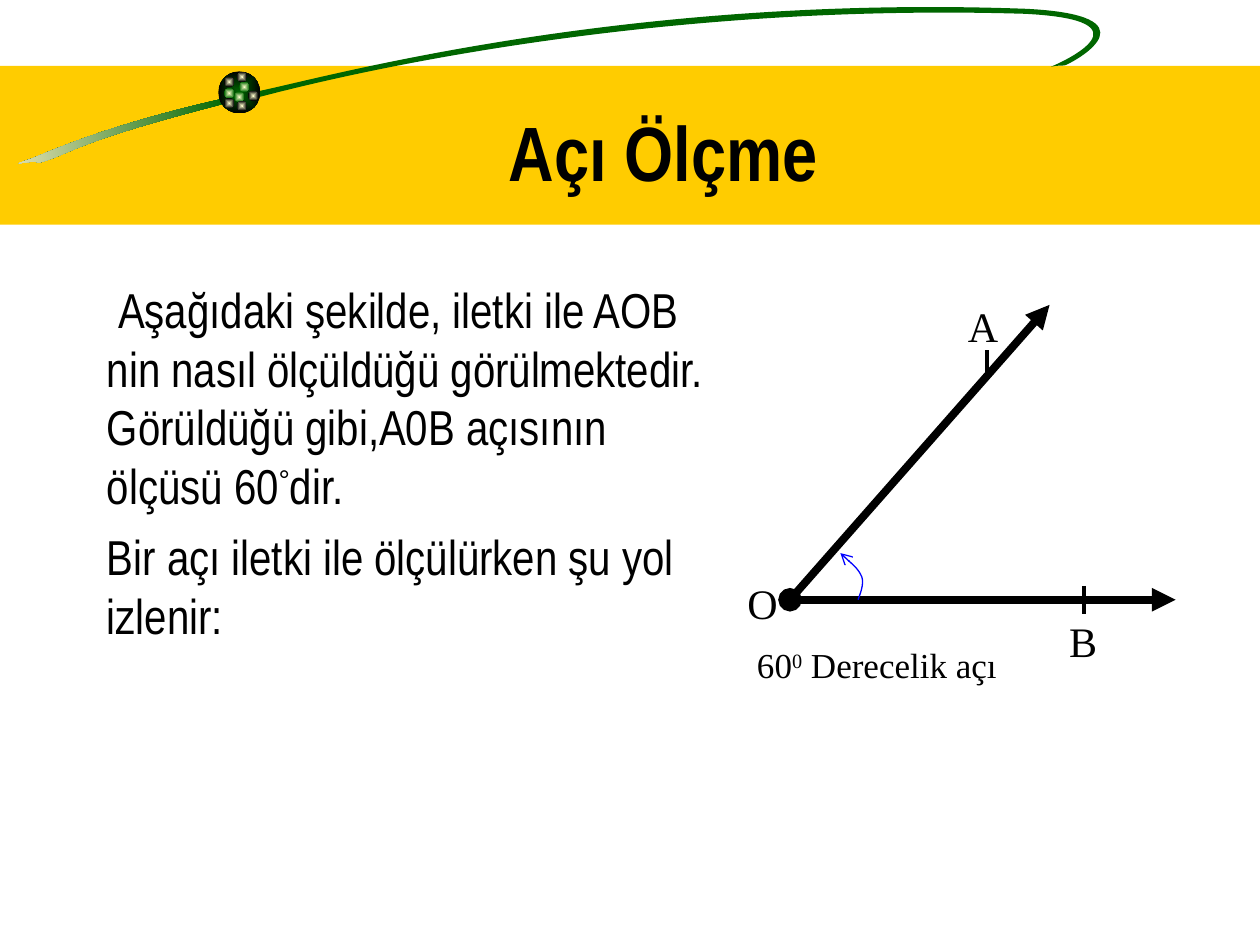
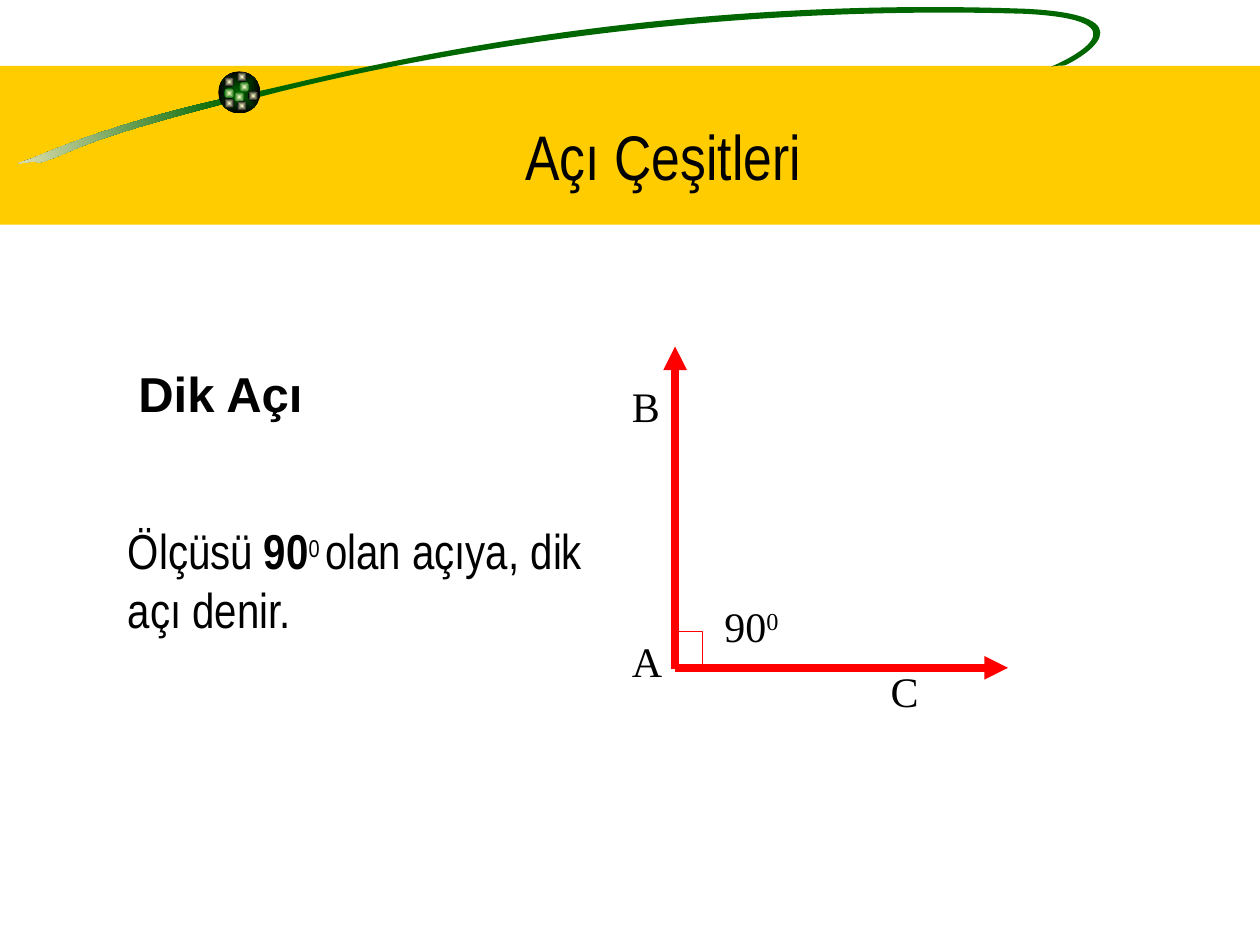
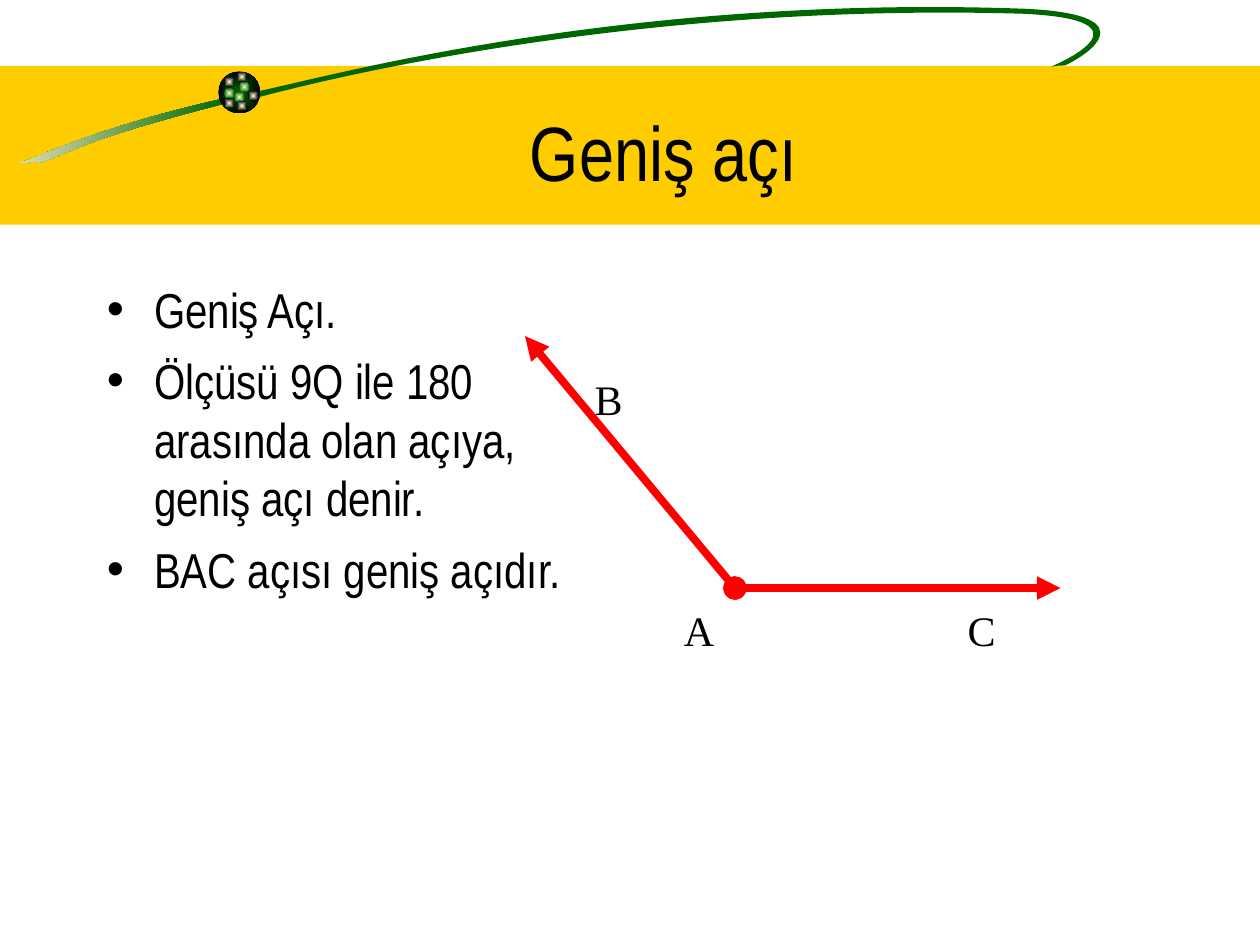
"""Build three slides about measuring and naming angles."""
import math
from dataclasses import dataclass

from lxml import etree
from pptx import Presentation, util as u
from pptx.dml.color import RGBColor
from pptx.enum import shapes as sh, text as tx
from pptx.oxml.ns import qn


@dataclass(frozen=True)
class Theme:
    """Colours, fonts, type sizes and line widths of the deck."""
    band: str = "FFCC00"
    green: str = "006600"
    cream: str = "F5EBC1"
    pale: str = "FFFFCC"
    white: str = "FFFFFF"
    ink: str = "000000"
    red: str = "FF0000"
    blue: str = "0000FF"
    main: str = "Arial Narrow"
    head: str = "Arial"
    tag: str = "Times New Roman"
    big: int = 44
    mid: int = 36
    body: int = 28
    mark: int = 24
    note: int = 20
    thick: float = 4.5
    tick: float = 2.25
    thin: float = 0.75


T = Theme()
WIDE, HIGH = u.Inches(10), u.Inches(7.5)
COLS = 100
TILT = -8.5
TITLE = dict(left=5.7, width=93.9)
SWOOSH = [(17.8, 7.8),
          (9.1, 9.8), (4.9, 11.6), (2.5, 12.6),
          (0.1, 13.4), (2.6, 12.6), (3.1, 12.9),
          (5.7, 12.2), (5.7, 11.3), (17.9, 8.2),
          (17.9, 8.2), (17.8, 7.8), (17.8, 7.8)]
LOOP = [(20.2, 7.3),
        (24.6, 6.5), (48.6, -0.5), (81.4, 0.7),
        (91.7, 1.2), (85.7, 4.7), (84.5, 5.2),
        (84.5, 5.2), (83.8, 5.2), (83.4, 5.3),
        (84.4, 4.9), (91.6, 1.6), (81.3, 1.1),
        (54.8, 0.3), (32, 4.7), (20.6, 7.7),
        (20.6, 7.7), (20.2, 7.3), (20.2, 7.3)]
ARC = [(68.1, 47.6),
       (68.2, 47.3), (68.6, 46.4), (68.4, 45.8),
       (68.1, 45.1), (67, 44.2), (66.7, 43.9)]
DOTS = [(19, 6.5, T.green), (17.8, 6.1, T.ink), (17.8, 7, T.green),
        (18.6, 7.3, T.green), (19.7, 7.2, T.ink), (18.8, 8, T.ink),
        (17.8, 7.8, T.ink), (18.8, 5.7, T.ink)]


def cell(*nums):
    """Turn grid counts into lengths."""
    return [round(WIDE * n / COLS) for n in nums]


def rgb(hue):
    """Turn a hex string into a colour."""
    return RGBColor.from_string(hue)


def apply(obj, fmt):
    """Set each value of a format dict on an object."""
    for key, val in fmt.items():
        setattr(obj, key, val)


def write(para, runs, fmt):
    """Add runs to a paragraph; a run is text or text with its own format."""
    for item in [runs] if isinstance(runs, str) else runs:
        words, own = (item, {}) if isinstance(item, str) else item
        run = para.add_run()
        run.text = words
        look = {**fmt, **own}
        base = look.pop("base", None)
        apply(run.font, look)
        run.font.color.rgb = rgb(T.ink)
        if base:
            run.font._element.set("baseline", str(base * 1000))


def bullet(para):
    """Give a paragraph a hanging round bullet."""
    prop = para._p.get_or_add_pPr()
    hang = cell(3.75)[0]
    prop.set("marL", str(hang))
    prop.set("indent", str(-hang))
    etree.SubElement(prop, qn("a:buFont")).set("typeface", T.head)
    etree.SubElement(prop, qn("a:buChar")).set("char", "•")


def block(slide, box, paras, dots=False, **fmt):
    """Add a text box of body paragraphs."""
    frame = slide.shapes.add_textbox(*cell(*box)).text_frame
    frame.word_wrap = True
    for i, runs in enumerate(paras):
        para = frame.add_paragraph() if i else frame.paragraphs[0]
        para.space_before = u.Pt(7)
        if dots:
            bullet(para)
        write(para, runs, {"name": T.main, "size": u.Pt(T.body), **fmt})


def label(slide, box, runs, size=T.mark, mid=False):
    """Add a short label to a figure."""
    frame = slide.shapes.add_textbox(*cell(*box)).text_frame
    frame.word_wrap = not mid
    if mid:
        frame.vertical_anchor = tx.MSO_ANCHOR.MIDDLE
        frame.paragraphs[0].alignment = tx.PP_ALIGN.CENTER
    write(frame.paragraphs[0], runs, {"name": T.tag, "size": u.Pt(size)})


def ends(shape, head, tail):
    """Put arrowheads on the ends of a line."""
    line = shape.element.spPr.find(qn("a:ln"))
    for tag, kind in (("a:headEnd", head), ("a:tailEnd", tail)):
        if kind:
            etree.SubElement(line, qn(tag)).set("type", kind)


def stroke(shape, hue, width):
    """Set line colour and width."""
    shape.line.color.rgb = rgb(hue)
    shape.line.width = u.Pt(width)


def ray(slide, start, end, hue, width=T.thick, head=None, tail="triangle"):
    """Draw a straight line with optional arrowheads."""
    line = slide.shapes.add_connector(
        sh.MSO_CONNECTOR.STRAIGHT, *cell(*start, *end))
    stroke(line, hue, width)
    ends(line, head, tail)
    etree.SubElement(line.element.spPr, qn("a:effectLst"))


def turn(pts, hub, angle):
    """Rotate points clockwise about a hub."""
    cos, sin = math.cos(math.radians(angle)), math.sin(math.radians(angle))
    return [(hub[0] + (x - hub[0]) * cos - (y - hub[1]) * sin,
             hub[1] + (x - hub[0]) * sin + (y - hub[1]) * cos)
            for x, y in pts]


def curve(slide, pts, close=False):
    """Draw an outline of cubic curves, three points to each."""
    form = slide.shapes.build_freeform(*cell(*pts[0]))
    form.add_line_segments([cell(*p) for p in pts[1:]], close=close)
    shape = form.convert_to_shape()
    shape.shadow.inherit = False
    lines = list(shape.element.iter(qn("a:lnTo")))
    for k in range(0, len(lines), 3):
        bend = etree.Element(qn("a:cubicBezTo"))
        lines[k].addprevious(bend)
        for line in lines[k:k + 3]:
            bend.append(line[0])
            line.getparent().remove(line)
    return shape


def tilted(slide, pts, hub):
    """Draw a closed curve in a box that is tilted about its hub."""
    shape = curve(slide, turn(pts, hub, -TILT), close=True)
    shape.rotation = TILT
    return shape


def solid(shape, hue, alpha=None):
    """Fill a shape with one colour and no line."""
    shape.fill.solid()
    shape.fill.fore_color.rgb = rgb(hue)
    shape.line.fill.background()
    if alpha:
        tint = shape.element.spPr.find(qn("a:solidFill"))[0]
        etree.SubElement(tint, qn("a:alpha")).set("val", str(alpha * 1000))
    return shape


def fade(shape, hues, angle=None):
    """Fill a shape with a linear gradient, or from its centre."""
    shape.fill.gradient()
    for stop, hue in zip(shape.fill.gradient_stops, hues):
        stop.color.rgb = rgb(hue)
    shape.line.fill.background()
    if angle is not None:
        shape.fill.gradient_angle = angle
        return shape
    grad = shape.element.spPr.find(qn("a:gradFill"))
    core = etree.Element(qn("a:path"))
    core.set("path", "rect")
    rect = etree.SubElement(core, qn("a:fillToRect"))
    for side in "ltrb":
        rect.set(side, "50000")
    grad.replace(grad.find(qn("a:lin")), core)
    return shape


def plain(slide, kind, box):
    """Add a preset shape without shadow."""
    shape = slide.shapes.add_shape(kind, *cell(*box))
    shape.shadow.inherit = False
    return shape


def decor(slide, layout):
    """Draw the band, swoosh, ball and veil, and move them to the layout."""
    rect, oval = sh.MSO_SHAPE.RECTANGLE, sh.MSO_SHAPE.OVAL
    parts = [solid(plain(slide, rect, (0, 5.23, COLS, 12.6)), T.band),
             fade(tilted(slide, SWOOSH, (8.9, 10.6)),
                  (T.green, T.cream), 180),
             solid(tilted(slide, LOOP, (55.9, 3.95)), T.green),
             fade(plain(slide, oval, (17.33, 5.67, 3.33, 3.33)),
                  (T.green, T.ink))]
    for x, y, rim in DOTS:
        parts.append(fade(plain(slide, oval, (x, y, 0.8, 0.8)),
                          (T.pale, rim)))
    parts.append(solid(plain(slide, rect, (7.4, 20.6, 12.2, 54.4)),
                       T.white, 50))
    for part in parts:
        layout.shapes.element.append(part.element)


def title(slide, words, top=7.85, height=8.2, size=T.big, bold=False):
    """Place and format the title."""
    hold = slide.shapes.title
    place = {**TITLE, "top": top, "height": height}
    apply(hold, {key: cell(val)[0] for key, val in place.items()})
    frame = hold.text_frame
    apply(frame, dict(auto_size=tx.MSO_AUTO_SIZE.NONE, word_wrap=True,
                      vertical_anchor=tx.MSO_ANCHOR.MIDDLE))
    frame.paragraphs[0].alignment = tx.PP_ALIGN.CENTER
    write(frame.paragraphs[0], words,
          dict(name=T.main, size=u.Pt(size), bold=bold))


def measure(slide):
    """Show how an angle is measured."""
    title(slide, "Açı Ölçme", bold=True)
    block(slide, (7.5, 21.67, 50, 45), [
        [(" ", {"bold": True}),
         "Aşağıdaki şekilde, iletki ile AOB nin nasıl ölçüldüğü "
         "görülmektedir. Görüldüğü gibi,A0B açısının ölçüsü 60",
         ("°", {"base": 30}), "dir."],
        "Bir açı iletki ile ölçülürken şu yol izlenir:"])
    apex = (62.7, 47.6)
    ray(slide, apex, (83.3, 24.2), T.ink)
    ray(slide, apex, (93.3, 47.6), T.ink, head="oval")
    arc = curve(slide, ARC)
    arc.fill.background()
    stroke(arc, T.blue, T.thin)
    ends(arc, None, "arrow")
    label(slide, (58.33, 45.33, 5.1, 5), "O")
    for word, x, y in (("A", 75.83, 23.33), ("B", 83.87, 48.37)):
        label(slide, (x, y, 5.8, 5), word)
    for x, y in ((86, 46.5), (78.3, 27.8)):
        ray(slide, (x, y), (x, y + 2.25), T.ink, T.tick, tail=None)
    label(slide, (59.1, 50.6, 26.3, 4.4),
          ["60", ("0", {"base": 30}), " Derecelik açı"], T.note)


def right(slide):
    """Show the right angle."""
    title(slide, "Açı Çeşitleri", 9, 6.7, T.mid)
    block(slide, (9.17, 40.83, 41.6, 18.3), [
        ["Ölçüsü ", ("90", {"bold": True}),
         ("0 ", {"size": u.Pt(T.mark), "base": 30}),
         "olan açıya, dik açı denir."]])
    x, y = 53.58, 53
    ray(slide, (x, y + 0.1), (x, 27.5), T.red)
    ray(slide, (x, y), (80, y), T.red)
    box = plain(slide, sh.MSO_SHAPE.RECTANGLE, (x, y - 2.9, 2.2, 2.9))
    box.fill.background()
    stroke(box, T.red, T.thin)
    label(slide, (56.5, 47.2, 13.9, 5), ["90", ("0", {"base": 30})])
    for word, x, y, span in (("C", 69.7, 52.3, 8.1), ("A", 49.17, 49.93, 7.3),
                             ("B", 49.17, 29.7, 5.1)):
        label(slide, (x, y, span, 5), word)
    block(slide, (10, 28.33, 24.2, 7.5), ["Dik Açı"], name=T.head, bold=True)


def wide(slide):
    """Show the obtuse angle."""
    title(slide, "Geniş açı")
    block(slide, (7.5, 21.67, 41.6, 45), [
        "Geniş Açı.",
        "Ölçüsü 9Q ile 180 arasında olan açıya, geniş açı denir.",
        "BAC açısı geniş açıdır."], dots=True)
    for tip in ((41.67, 26.67), (84.17, 46.67)):
        ray(slide, (58.33, 46.67), tip, T.red, head="oval")
    for word, x, y, span in (("A", 53.3, 47.5, 4.2), ("B", 45.8, 29.17, 5),
                             ("C", 75.8, 47.5, 4.2)):
        label(slide, (x, y, span, 5), word, mid=True)


def main():
    """Build and save the deck."""
    deck = Presentation()
    apply(deck, dict(slide_width=WIDE, slide_height=HIGH))
    layout = deck.slide_layouts[5]
    for i, draw in enumerate((measure, right, wide)):
        slide = deck.slides.add_slide(layout)
        if not i:
            decor(slide, layout)
        draw(slide)
    deck.save("out.pptx")


if __name__ == "__main__":
    main()
